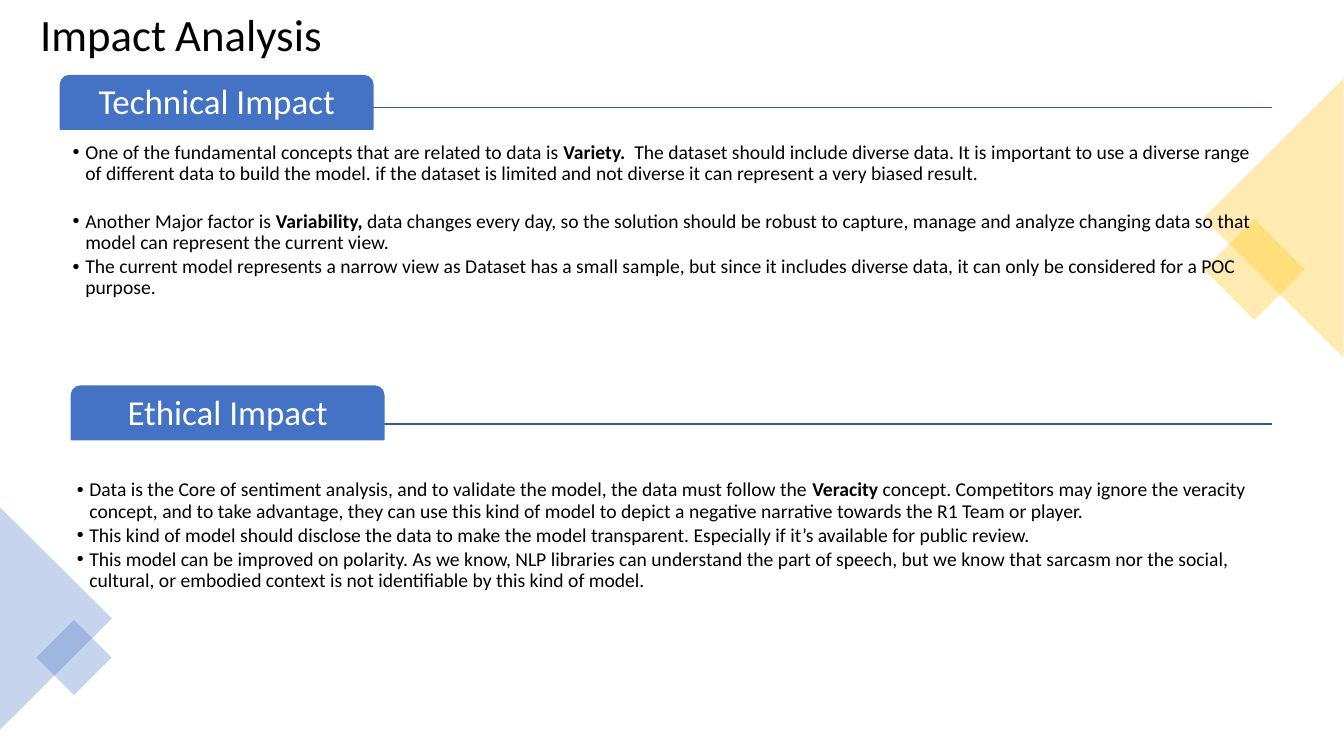
import pptx
import pptx.util
import pptx.dml.color
import pptx.enum.shapes
import pptx.enum.text
import pptx.oxml.ns
from lxml import etree

Pt = pptx.util.Pt
SHAPE = pptx.enum.shapes.MSO_SHAPE
ALIGN = pptx.enum.text.PP_ALIGN
ANCHOR = pptx.enum.text.MSO_ANCHOR
qn = pptx.oxml.ns.qn

BLUE, NAVY, GOLD = "4472C4", "365B9D", "FFC000"
BLACK, WHITE = "000000", "FFFFFF"


def color(text):
    return pptx.dml.color.RGBColor.from_string(text)


class Deck:
    font = "Calibri"

    def __init__(self, wide, high):
        self.prs = pptx.Presentation()
        self.prs.slide_width, self.prs.slide_height = Pt(wide), Pt(high)
        self.slide = self.prs.slides.add_slide(self.prs.slide_layouts[6])

    def run(self, para, text, size, fill=BLACK, bold=False):
        run = para.add_run()
        run.text = text
        run.font.name, run.font.size, run.font.bold = self.font, Pt(size), bold
        run.font.color.rgb = color(fill)

    def shape(self, kind, box, fill):
        shape = self.slide.shapes.add_shape(kind, *map(Pt, box))
        shape.shadow.inherit = False
        shape.fill.solid()
        shape.fill.fore_color.rgb = color(fill)
        shape.line.fill.background()
        return shape

    def accent(self, kind, box, fill, turn):
        """Add a turned, 30% opaque corner ornament."""
        shape = self.shape(kind, box, fill)
        shape.rotation = turn
        tint = shape.fill._xPr.find(qn("a:solidFill"))[0]
        etree.SubElement(tint, qn("a:alpha"), val="30000")

    def rule(self, left, right, y):
        line = self.slide.shapes.add_connector(
            pptx.enum.shapes.MSO_CONNECTOR.STRAIGHT,
            Pt(left), Pt(y), Pt(right), Pt(y))
        line.line.color.rgb = color(NAVY)
        line.line.width = Pt(1)
        etree.SubElement(line._element.spPr, qn("a:effectLst"))

    def tab(self, left, top, text):
        """Add a section heading with rounded top corners."""
        shape = self.shape(SHAPE.ROUND_2_SAME_RECTANGLE,
                           (left, top, 223.2, 38.2), BLUE)
        shape.line.color.rgb = color(BLUE)
        shape.line.width = Pt(1)
        frame = shape.text_frame
        frame.margin_top = frame.margin_bottom = Pt(3.6)
        frame.vertical_anchor = ANCHOR.MIDDLE
        para = frame.paragraphs[0]
        para.alignment = ALIGN.CENTER
        para.line_spacing = 0.9
        self.run(para, text, 25, WHITE)

    def box(self, box):
        frame = self.slide.shapes.add_textbox(*map(Pt, box)).text_frame
        frame.word_wrap = True
        return frame

    def title(self, box, parts):
        para = self.box(box).paragraphs[0]
        for text, size in parts:
            self.run(para, text, size)

    def list(self, box, items):
        """Add bullets; an item is (space after, runs), odd runs being bold."""
        frame = self.box(box)
        frame.margin_left = frame.margin_right = Pt(2.2)
        frame.margin_top = frame.margin_bottom = Pt(2.2)
        for i, (gap, runs) in enumerate(items):
            para = frame.add_paragraph() if i else frame.paragraphs[0]
            para.line_spacing = 0.9
            para.space_after = Pt(gap)
            props = para._p.get_or_add_pPr()
            props.set("marL", str(Pt(9)))
            props.set("indent", str(Pt(-9)))
            etree.SubElement(props, qn("a:buFont"), typeface="Arial")
            etree.SubElement(props, qn("a:buChar"), char="•")
            for j, text in enumerate(runs):
                self.run(para, text, 14, bold=j % 2 == 1)


GAP, WIDE_GAP = 2.1, 19.2

TECH = [
    (WIDE_GAP, [
        "One of the fundamental concepts that are related to data is ",
        "Variety.  ",
        "The dataset should include diverse data. It is important to use a "
        "diverse range of different data to build the model. if the dataset "
        "is limited and not diverse it can represent a very biased result."]),
    (GAP, [
        "Another Major factor is ",
        "Variability, ",
        "data changes every day, so the solution should be robust to capture, "
        "manage and analyze changing data so that model can represent the "
        "current view."]),
    (GAP, [
        "The current model represents a narrow view as Dataset has a small "
        "sample, but since it includes diverse data, it can only be "
        "considered for a POC purpose."]),
]
ETHIC = [
    (GAP, [
        "Data is the Core of sentiment analysis, and to validate the model, "
        "the data must follow the ",
        "Veracity",
        " concept. Competitors may ignore the veracity concept, and to take "
        "advantage, they can use this kind of model to depict a negative "
        "narrative towards the R1 Team or player."]),
    (GAP, [
        "This kind of model should disclose the data to make the model "
        "transparent. Especially if it’s available for public review."]),
    (GAP, [
        "This model can be improved on polarity. As we know, NLP libraries "
        "can understand the part of speech, but we know that sarcasm nor the "
        "social, cultural, or embodied context is not identifiable by this "
        "kind of model."]),
]


def main():
    deck = Deck(960, 540)
    deck.accent(SHAPE.RECTANGLE, (870.5, 167, 51, 51), GOLD, 45)
    deck.accent(SHAPE.ISOSCELES_TRIANGLE, (810, 105.8, 199.4, 100), GOLD, 270)
    deck.accent(SHAPE.ISOSCELES_TRIANGLE, (-39.6, 401.8, 159, 80), BLUE, 90)
    deck.accent(SHAPE.RECTANGLE, (33.8, 450.7, 38, 38), BLUE, 45)
    for y in (303, 77):
        deck.rule(51, 908.6, y)
    deck.tab(43.2, 54, "Technical Impact")
    deck.list((49.7, 99.4, 857.5, 185.8), TECH)
    deck.tab(51, 275.8, "Ethical Impact")
    deck.list((52.6, 340.6, 857.5, 198), ETHIC)
    deck.title((21.6, 1.4, 406, 46), [("Impact", 32), (" ", 28), ("Analysis", 32)])
    deck.prs.save("out.pptx")


if __name__ == "__main__":
    main()
